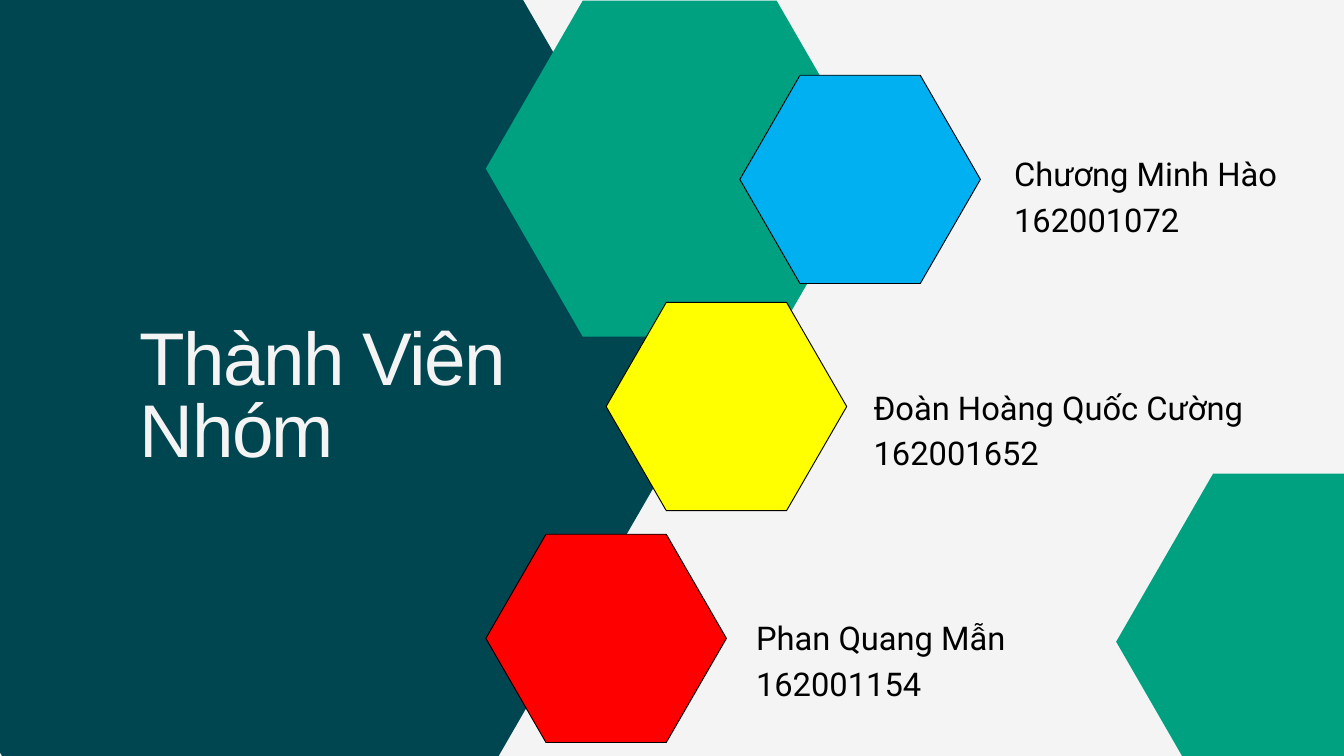
from dataclasses import dataclass

from lxml import etree
from pptx import Presentation
from pptx import util as u
from pptx.dml.color import RGBColor
from pptx.enum import shapes, text

COLUMNS, ROWS = 20, 11.25
CELL = u.Inches(1)  # one square grid cell


@dataclass(frozen=True)
class Theme:
    paper: str = "F4F4F4"
    deep: str = "004651"
    green: str = "00A181"
    ink: str = "000000"
    blue: str = "00B0F0"
    yellow: str = "FFFF00"
    red: str = "FF0000"
    title_font: str = "Arial"
    body_font: str = "Roboto"
    title_size: float = 80
    title_leading: float = 78
    body_size: float = 35
    body_leading: float = 49


@dataclass(frozen=True)
class Box:
    """Left, top, width and height in grid cells."""
    left: float
    top: float
    width: float
    height: float

    def place(self, part):
        part.left, part.top, part.width, part.height = self.emu()

    def emu(self):
        return [round(n * CELL) for n in (self.left, self.top, self.width, self.height)]

    def inner(self, dx, dy, width, height):
        return Box(self.left + dx, self.top + dy, width, height)


THEME = Theme()


def rgb(color):
    return RGBColor.from_string(color)


def add_hexagon(slide, box, fill, outline=None):
    hexagon = slide.shapes.add_shape(shapes.MSO_SHAPE.HEXAGON, *box.emu())
    hexagon.adjustments[0] = box.width / 4 / min(box.width, box.height)
    hexagon.shadow.inherit = False
    hexagon.fill.solid()
    hexagon.fill.fore_color.rgb = rgb(fill)
    if outline:
        hexagon.line.color.rgb = rgb(outline)
        hexagon.line.width = u.Pt(1)
    else:
        hexagon.line.fill.background()


def write_lines(frame, lines, font, size, leading, color):
    frame.word_wrap = True
    frame.auto_size = text.MSO_AUTO_SIZE.SHAPE_TO_FIT_TEXT
    frame.vertical_anchor = text.MSO_ANCHOR.TOP
    frame.margin_left = frame.margin_top = frame.margin_right = frame.margin_bottom = 0
    for index, line in enumerate(lines):
        paragraph = frame.paragraphs[0] if index == 0 else frame.add_paragraph()
        paragraph.alignment = text.PP_ALIGN.LEFT
        paragraph.line_spacing = u.Pt(leading)
        run = paragraph.add_run()
        run.text = line
        run.font.name = font
        run.font.size = u.Pt(size)
        run.font.color.rgb = rgb(color)


def add_backdrop(slide, page):
    slide.background.fill.solid()
    slide.background.fill.fore_color.rgb = rgb(THEME.paper)
    add_hexagon(slide, page.inner(-3.4, -0.86, 14.25, 12.34), THEME.deep)
    for left, top in ((7.23, 0.01), (16.61, 7.05)):
        add_hexagon(slide, page.inner(left, top, 5.77, 5), THEME.green)


def add_title(slide, box):
    title = slide.shapes.title
    box.place(title)
    write_lines(title.text_frame, ["Thành Viên Nhóm"], THEME.title_font,
                THEME.title_size, THEME.title_leading, THEME.paper)
    for properties in title.element.iter("{*}rPr"):
        properties.set("spc", "-170")
    # Bring the title in front of the backdrop
    slide.shapes.element.append(title.element)


def add_member(slide, box, label_box, color, lines):
    add_hexagon(slide, box, color, THEME.ink)
    label = slide.shapes.add_textbox(*label_box.emu())
    write_lines(label.text_frame, lines, THEME.body_font,
                THEME.body_size, THEME.body_leading, THEME.ink)


def main():
    deck = Presentation()
    deck.slide_width, deck.slide_height = round(COLUMNS * CELL), round(ROWS * CELL)
    slide = deck.slides.add_slide(deck.slide_layouts.get_by_name("Title Only"))
    page = Box(0, 0, COLUMNS, ROWS)

    add_backdrop(slide, page)
    add_title(slide, page.inner(2.08, 4.87, 6.88, 2.19))

    # Members: hexagon corner, label offset and width, colour, name, number
    members = (
        (11.01, 1.12, 4.08, 1.07, 4.91, THEME.blue, "Chương Minh Hào", "162001072"),
        (9.02, 4.5, 3.98, 1.17, 6.33, THEME.yellow, "Đoàn Hoàng Quốc Cường", "162001652"),
        (7.23, 7.95, 4.02, 1.15, 4.91, THEME.red, "Phan Quang Mẫn", "162001154"),
    )
    for left, top, dx, dy, width, color, name, number in members:
        box = page.inner(left, top, 3.58, 3.1)
        add_member(slide, box, box.inner(dx, dy, width, 1.32), color, (name, number))

    deck.save("out.pptx")


if __name__ == "__main__":
    main()
